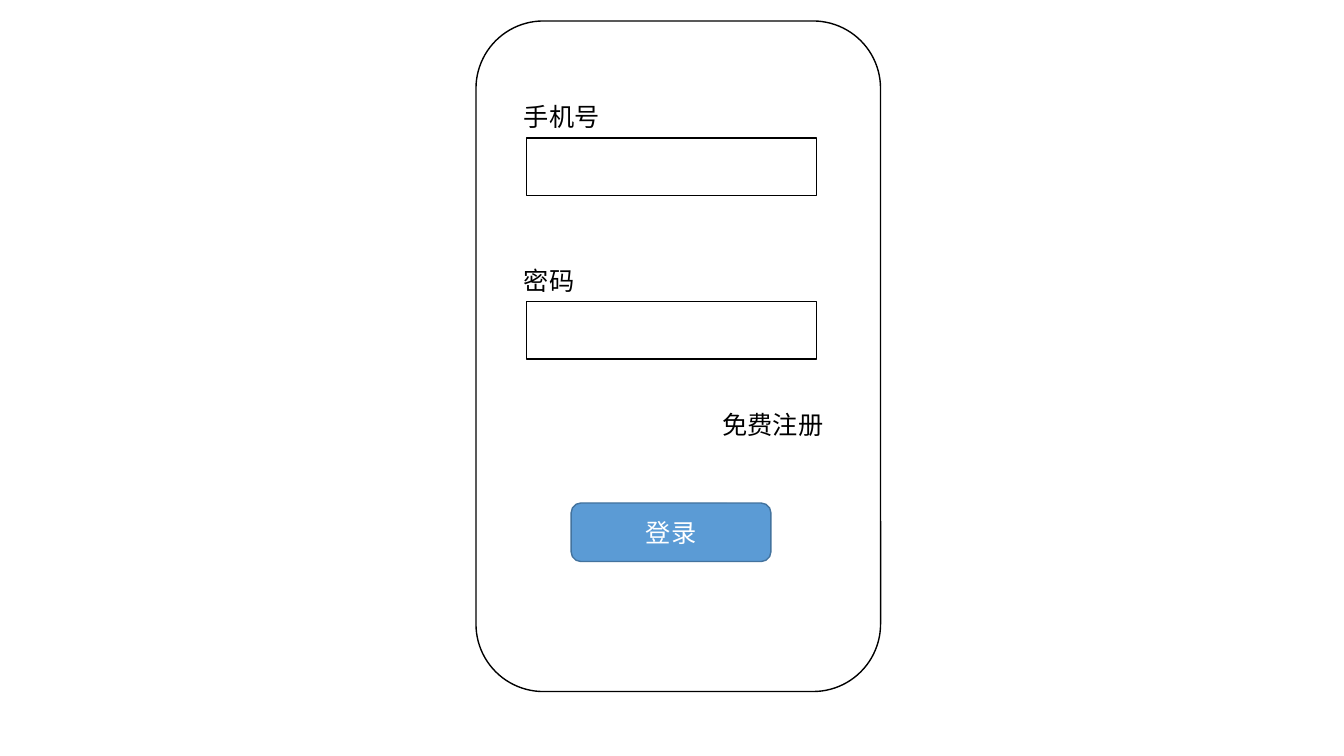
from dataclasses import dataclass

from pptx import Presentation
from pptx.dml.color import RGBColor
from pptx.enum.shapes import MSO_SHAPE
from pptx.enum.text import MSO_ANCHOR, MSO_AUTO_SIZE, PP_ALIGN
from pptx.slide import Slide
from pptx.text.text import TextFrame
from pptx.util import Pt

WHITE = RGBColor(0xFF, 0xFF, 0xFF)
BLACK = RGBColor(0x00, 0x00, 0x00)
BLUE = RGBColor(0x5B, 0x9B, 0xD5)
NAVY = RGBColor(0x43, 0x73, 0x9E)

FONT = {"name": "Calibri", "size": Pt(18)}
LABEL = {"word_wrap": True, "auto_size": MSO_AUTO_SIZE.SHAPE_TO_FIT_TEXT}
BUTTON = {"word_wrap": True, "vertical_anchor": MSO_ANCHOR.MIDDLE}


@dataclass
class Box:
    left: float
    top: float
    width: float
    height: float
    kind: MSO_SHAPE = MSO_SHAPE.RECTANGLE
    fill: RGBColor = WHITE
    line: RGBColor = BLACK
    text: str = ""


@dataclass
class Label:
    text: str
    left: float
    top: float
    width: float
    height: float = 29


def write(frame: TextFrame, text: str, color: RGBColor,
          align: PP_ALIGN, style: dict) -> None:
    for key, value in style.items():
        setattr(frame, key, value)
    para = frame.paragraphs[0]
    para.alignment = align
    run = para.add_run()
    run.text = text
    for key, value in FONT.items():
        setattr(run.font, key, value)
    run.font.color.rgb = color


def draw_box(slide: Slide, box: Box) -> None:
    shape = slide.shapes.add_shape(
        box.kind, Pt(box.left), Pt(box.top), Pt(box.width), Pt(box.height))
    shape.shadow.inherit = False
    shape.fill.solid()
    shape.fill.fore_color.rgb = box.fill
    shape.line.color.rgb = box.line
    shape.line.width = Pt(1)
    if box.text:
        write(shape.text_frame, box.text, WHITE, PP_ALIGN.CENTER, BUTTON)


def draw_label(slide: Slide, label: Label) -> None:
    shape = slide.shapes.add_textbox(
        Pt(label.left), Pt(label.top), Pt(label.width), Pt(label.height))
    write(shape.text_frame, label.text, BLACK, PP_ALIGN.LEFT, LABEL)


def main() -> None:
    deck = Presentation()
    deck.slide_width, deck.slide_height = Pt(960), Pt(540)
    slide = deck.slides.add_slide(deck.slide_layouts[6])

    # Phone outline
    draw_box(slide, Box(340, 15, 289, 479, MSO_SHAPE.ROUNDED_RECTANGLE))

    # Input fields, each under its label
    for row, name in enumerate(("手机号", "密码")):
        top = 69.1 + row * 116.9
        draw_box(slide, Box(375.9, top + 29.5, 207.4, 41))
        draw_label(slide, Label(name, 367.2, top, 95))

    # Login button and sign-up text
    draw_box(slide, Box(408, 359.3, 142.7, 41.8,
                        MSO_SHAPE.ROUNDED_RECTANGLE, BLUE, NAVY, "登录"))
    draw_label(slide, Label("免费注册", 509, 288.7, 89.3))

    deck.save("out.pptx")


if __name__ == "__main__":
    main()
